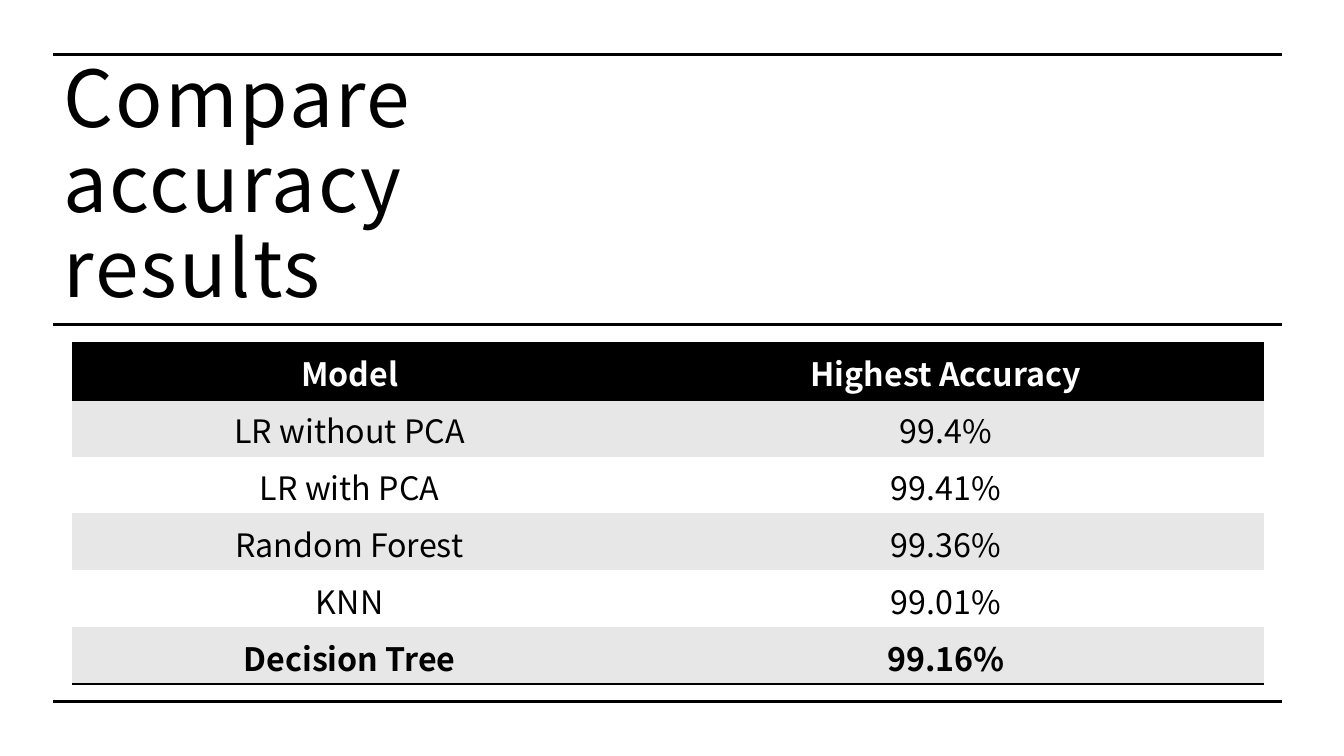
"""Build a slide that compares the accuracy of five models in a table."""
from lxml import etree
from pptx import Presentation
from pptx.dml.color import RGBColor
from pptx.enum.shapes import MSO_CONNECTOR
from pptx.enum.text import MSO_ANCHOR, PP_ALIGN
from pptx.oxml import parse_xml
from pptx.oxml.ns import nsdecls, qn
from pptx.util import Pt

STRAIGHT = MSO_CONNECTOR.STRAIGHT
MIDDLE = MSO_ANCHOR.MIDDLE
CENTER = PP_ALIGN.CENTER
FONT = "Noto Sans CJK SC"
NO_STYLE = "{2D5ABB26-0587-4C30-8999-92F81FD0307C}"
COLORS = {"ink": "000000", "paper": "FFFFFF", "band": "E7E7E7"}


def set_font(font, color, **values):
    """Apply the slide font, a named colour and further font values."""
    font.color.rgb = RGBColor.from_string(COLORS[color])
    for name, value in {"name": FONT, **values}.items():
        setattr(font, name, value)


presentation = Presentation()
presentation.slide_width = Pt(960)
presentation.slide_height = Pt(540)
slide = presentation.slides.add_slide(presentation.slide_layouts[6])

title = slide.shapes.add_textbox(Pt(38.2), Pt(54.7), Pt(431.3), Pt(157.7))
title.text_frame.word_wrap = True
title.text_frame.vertical_anchor = MIDDLE
paragraph = title.text_frame.paragraphs[0]
paragraph.line_spacing = 0.9
run = paragraph.add_run()
run.text = "Compare accuracy results"
set_font(run.font, "ink", size=Pt(56))
run.font._element.set("spc", "150")

for rule_top in (38.9, 232, 501.2):
    rule = slide.shapes.add_connector(STRAIGHT, Pt(38.2), Pt(rule_top), Pt(915.8), Pt(rule_top))
    rule.line.color.rgb = RGBColor.from_string(COLORS["ink"])
    rule.line.width = Pt(2.25)
    etree.SubElement(rule._element.spPr, qn("a:effectLst"))

results = [
    ("Model", "Highest Accuracy"),
    ("LR without PCA", "99.4%"),
    ("LR with PCA", "99.41%"),
    ("Random Forest", "99.36%"),
    ("KNN", "99.01%"),
    ("Decision Tree", "99.16%"),
]
last = len(results) - 1
frame = slide.shapes.add_table(len(results), 2, Pt(51.4), Pt(245), Pt(851.8), Pt(243.6))
table = frame.table
frame._element.find(".//" + qn("a:tableStyleId")).text = NO_STYLE
for column, width in zip(table.columns, (396.8, 455)):
    column.width = Pt(width)

cell_format = {
    "margin_left": Pt(9.3), "margin_right": Pt(9.3),
    "margin_top": Pt(4.65), "margin_bottom": Pt(4.65),
}
border_sides = {0: ("lnT", "lnB"), last: ("lnB",)}
for row_index, row_values in enumerate(results):
    table.rows[row_index].height = Pt(40.6)
    is_header = row_index == 0
    fill_color = "ink" if is_header else "band" if row_index % 2 else "paper"
    for column_index, value in enumerate(row_values):
        cell = table.cell(row_index, column_index)
        for name, setting in cell_format.items():
            setattr(cell, name, setting)
        for side in border_sides.get(row_index, ()):
            cell._tc.get_or_add_tcPr().append(parse_xml(
                f'<a:{side} {nsdecls("a")} w="{Pt(2)}"><a:solidFill>'
                f'<a:srgbClr val="{COLORS["ink"]}"/></a:solidFill></a:{side}>'
            ))
        cell.fill.solid()
        cell.fill.fore_color.rgb = RGBColor.from_string(COLORS[fill_color])
        paragraph = cell.text_frame.paragraphs[0]
        paragraph.alignment = CENTER
        run = paragraph.add_run()
        run.text = value
        set_font(run.font, "paper" if is_header else "ink",
                 size=Pt(23), bold=row_index in (0, last))

presentation.save("out.pptx")
